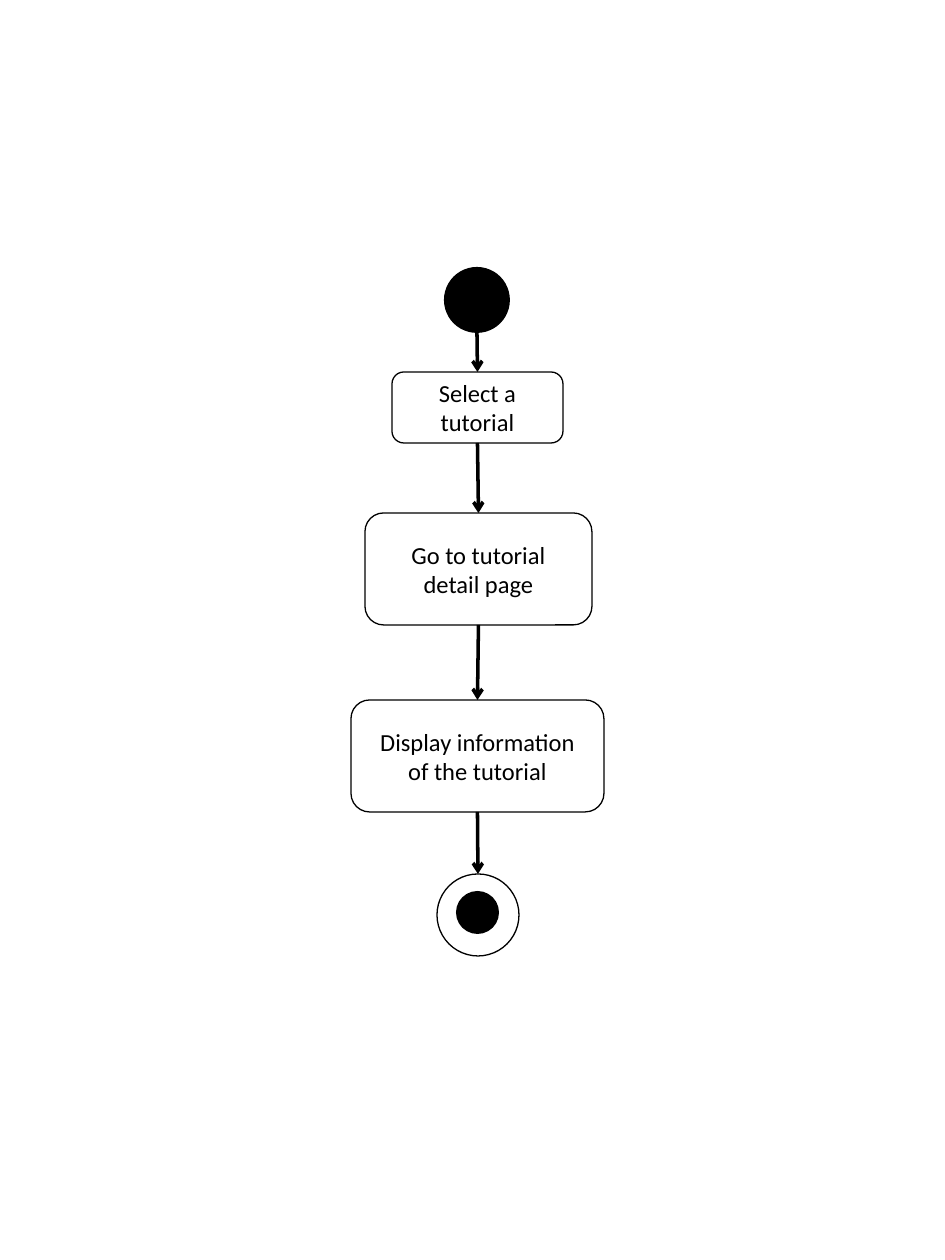
"""Build an activity diagram of viewing a tutorial."""
import pptx
import pptx.dml.color
import pptx.enum.shapes
import pptx.enum.text
import pptx.oxml.ns
import pptx.util
from lxml import etree

BLACK = pptx.dml.color.RGBColor(0, 0, 0)
WHITE = pptx.dml.color.RGBColor(255, 255, 255)
PX = 914400 // 126
OVAL = pptx.enum.shapes.MSO_SHAPE.OVAL
ROUNDED = pptx.enum.shapes.MSO_SHAPE.ROUNDED_RECTANGLE

deck = pptx.Presentation()
deck.slide_width = pptx.util.Inches(7.5)
deck.slide_height = pptx.util.Inches(10)
slide = deck.slides.add_slide(deck.slide_layouts[6])


def add_node(kind, left, top, width, height, fill):
    node = slide.shapes.add_shape(kind, left * PX, top * PX, width * PX, height * PX)
    node.shadow.inherit = False
    node.fill.solid()
    node.fill.fore_color.rgb = fill
    if fill == BLACK:
        node.line.fill.background()
    else:
        node.line.color.rgb = BLACK
        node.line.width = pptx.util.Pt(0.75)
    return node


start = add_node(OVAL, 444, 267, 66, 66, BLACK)
end_ring = add_node(OVAL, 437, 874, 82, 82, WHITE)
end_core = add_node(OVAL, 456, 891, 43, 43, BLACK)

steps = []
for label, left, top, width, height in [
    ("Select a tutorial", 392, 372, 171, 71),
    ("Go to tutorial detail page", 365, 513, 227, 112),
    ("Display information of the tutorial", 351, 700, 253, 112),
]:
    step = add_node(ROUNDED, left, top, width, height, WHITE)
    step.text_frame.vertical_anchor = pptx.enum.text.MSO_ANCHOR.MIDDLE
    paragraph = step.text_frame.paragraphs[0]
    paragraph.alignment = pptx.enum.text.PP_ALIGN.CENTER
    run = paragraph.add_run()
    run.text = label
    run.font.name = "Calibri"
    run.font.size = pptx.util.Pt(14)
    run.font.color.rgb = BLACK
    steps.append(step)

flow = [start, *steps, end_ring]
for source, target in zip(flow, flow[1:]):
    arrow = slide.shapes.add_connector(
        pptx.enum.shapes.MSO_CONNECTOR.STRAIGHT,
        source.left + source.width // 2, source.top + source.height,
        target.left + target.width // 2, target.top,
    )
    if source is not start:
        arrow.begin_connect(source, 2)
    arrow.end_connect(target, 0)
    arrow.line.color.rgb = BLACK
    arrow.line.width = pptx.util.Pt(2)
    properties = arrow.line._get_or_add_ln()
    etree.SubElement(properties, pptx.oxml.ns.qn("a:tailEnd"), type="arrow")
    etree.SubElement(arrow._element.spPr, pptx.oxml.ns.qn("a:effectLst"))

deck.save("out.pptx")
